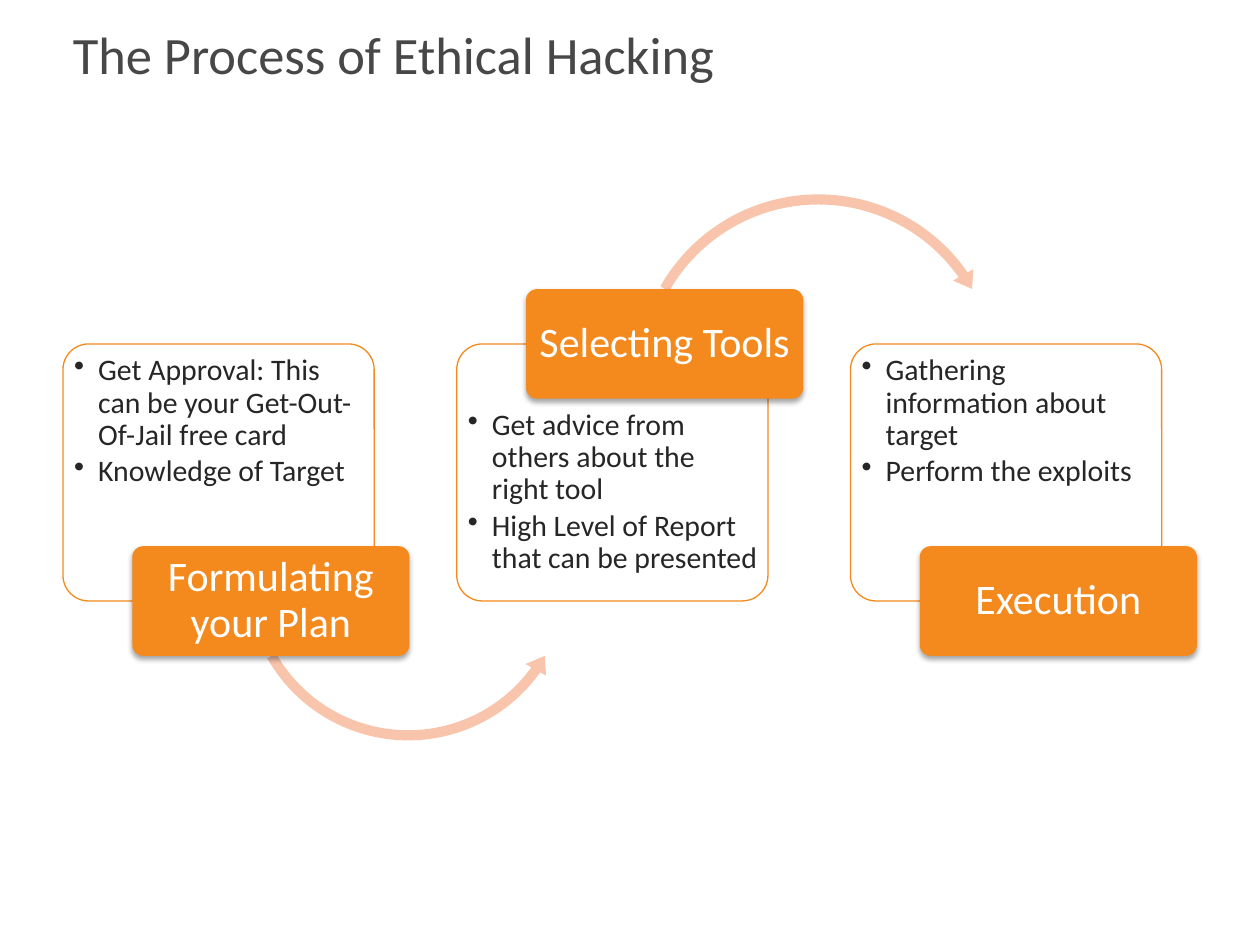
from lxml import etree
from pptx import Presentation
from pptx.dml.color import RGBColor
from pptx.enum.shapes import MSO_SHAPE
from pptx.enum.text import MSO_ANCHOR, PP_ALIGN
from pptx.oxml.ns import qn
from pptx.util import Inches, Pt

ROUND_RECT = MSO_SHAPE.ROUNDED_RECTANGLE
ARROW_UNDER = MSO_SHAPE.LEFT_CIRCULAR_ARROW
ARROW_OVER = MSO_SHAPE.CIRCULAR_ARROW
TOP, MIDDLE = MSO_ANCHOR.TOP, MSO_ANCHOR.MIDDLE
LEFT, CENTER = PP_ALIGN.LEFT, PP_ALIGN.CENTER

TITLE = "The Process of Ethical Hacking"
STEPS = [
    {"label": "Formulating your Plan", "label_edge": "bottom",
     "notes": ["Get Approval: This can be your Get-Out-Of-Jail free card",
               "Knowledge of Target"],
     "arrow": (ARROW_UNDER, 1.9, 3.25, 2.68, (0.03, 3.64, 21.39, 90.25, 0.035))},
    {"label": "Selecting Tools", "label_edge": "top",
     "notes": ["Get advice from others about the right tool",
               "High Level of Report that can be presented"],
     "arrow": (ARROW_OVER, 5, 1.49, 2.99, (0.027, 3.23, 195.02, 125.76, 0.031))},
    {"label": "Execution", "label_edge": "bottom",
     "notes": ["Gathering information about target", "Perform the exploits"],
     "arrow": None},
]

THEME = {
    "font": "Calibri",
    "title": RGBColor.from_string("474747"),
    "body": RGBColor.from_string("262626"),
    "white": RGBColor.from_string("FFFFFF"),
    "accent": RGBColor.from_string("F4891E"),
    "arrow": RGBColor.from_string("F8C4AC"),
    "title_size": Pt(30), "label_size": Pt(24), "body_size": Pt(17),
}

CARD_LEFT, CARD_TOP, CARD_W, CARD_H = 0.5, 2.73, 2.47, 2.04
CARD_PITCH = 3.125
LABEL_W, LABEL_H, LABEL_SHIFT = 2.2, 0.87, 0.55
NOTES_GAP = 0.03


def add_filled(slide, kind, left, top, width, height, color):
    shape = slide.shapes.add_shape(
        kind, Inches(left), Inches(top), Inches(width), Inches(height))
    shape.shadow.inherit = False
    shape.fill.solid()
    shape.fill.fore_color.rgb = color
    shape.line.fill.background()
    return shape


def write(shape, lines, size, color, align, anchor, insets):
    """Fill a shape with paragraphs; insets are left, top, right, bottom in inches."""
    frame = shape.text_frame
    frame.word_wrap = True
    frame.vertical_anchor = anchor
    (frame.margin_left, frame.margin_top,
     frame.margin_right, frame.margin_bottom) = map(Inches, insets)
    frame.text = "\n".join(lines)
    for paragraph in frame.paragraphs:
        paragraph.alignment = align
        paragraph.line_spacing = 0.9
        font = paragraph.runs[0].font
        font.name, font.size, font.color.rgb = THEME["font"], size, color


def add_bullets(frame):
    for paragraph in frame.paragraphs:
        paragraph.space_after = Pt(2.5)
        properties = paragraph._p.get_or_add_pPr()
        properties.set("marL", str(Inches(0.19)))
        properties.set("indent", str(Inches(-0.19)))
        etree.SubElement(properties, qn("a:buChar"), char="•")


def add_alpha(color_element, percent):
    etree.SubElement(color_element, qn("a:alpha"), val=str(percent * 1000))


def add_soft_shadow(shape):
    effects = shape._element.spPr.find(qn("a:effectLst"))
    shadow = etree.SubElement(
        effects, qn("a:outerShdw"), blurRad=str(Pt(3.1)), dist=str(Pt(1.8)),
        dir=str(90 * 60000), rotWithShape="0")
    add_alpha(etree.SubElement(shadow, qn("a:srgbClr"), val="000000"), 35)


def add_card(slide, left, notes, top_inset):
    card = add_filled(slide, ROUND_RECT, left, CARD_TOP, CARD_W, CARD_H, THEME["white"])
    card.adjustments[0] = 0.1
    add_alpha(card._element.spPr.find(qn("a:solidFill"))[0], 90)
    card.line.color.rgb = THEME["accent"]
    card.line.width = Pt(0.75)
    write(card, notes, THEME["body_size"], THEME["body"], LEFT, TOP,
          (NOTES_GAP, top_inset, 0.02, NOTES_GAP))
    add_bullets(card.text_frame)


def add_arrow(slide, kind, left, top, size, adjustments):
    arrow = add_filled(slide, kind, left, top, size, size, THEME["arrow"])
    for index, value in enumerate(adjustments):
        arrow.adjustments[index] = value


def add_label(slide, left, top, text):
    label = add_filled(slide, ROUND_RECT, left, top, LABEL_W, LABEL_H, THEME["accent"])
    label.adjustments[0] = 0.1
    add_soft_shadow(label)
    write(label, [text], THEME["label_size"], THEME["white"], CENTER, MIDDLE,
          (0.05, 0.03, 0.05, 0.03))


def add_step(slide, index, step):
    left = CARD_LEFT + index * CARD_PITCH
    on_top = step["label_edge"] == "top"
    edge = CARD_TOP if on_top else CARD_TOP + CARD_H
    add_card(slide, left, step["notes"], NOTES_GAP + (LABEL_H / 2 if on_top else 0))
    if step["arrow"]:
        add_arrow(slide, *step["arrow"])
    add_label(slide, left + LABEL_SHIFT, edge - LABEL_H / 2, step["label"])


def main():
    deck = Presentation()
    deck.slide_width, deck.slide_height = Inches(10), Inches(7.5)
    slide = deck.slides.add_slide(deck.slide_layouts[6])
    title = slide.shapes.add_textbox(Inches(0.48), Inches(0.08), Inches(9.19), Inches(0.75))
    write(title, [TITLE], THEME["title_size"], THEME["title"], LEFT, MIDDLE,
          (0.1, 0.05, 0.1, 0.05))
    for index, step in enumerate(STEPS):
        add_step(slide, index, step)
    deck.save("out.pptx")


if __name__ == "__main__":
    main()
